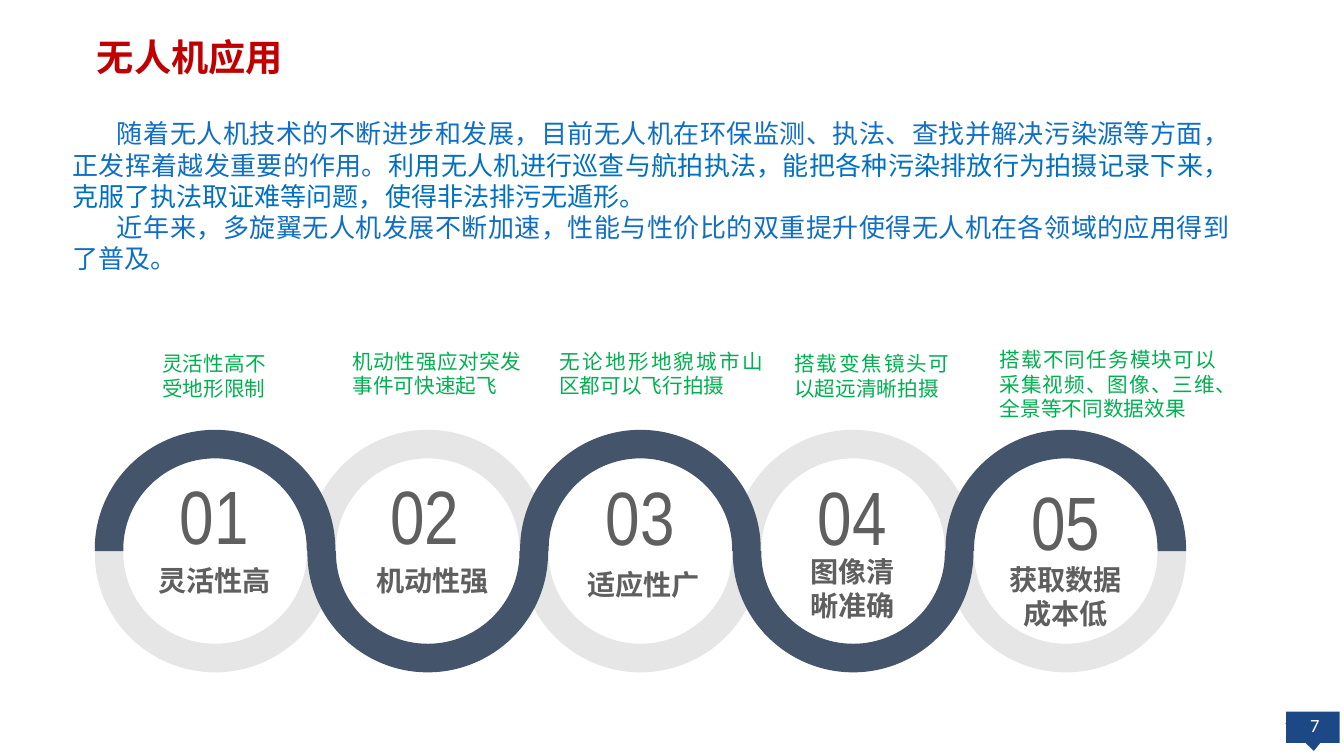
from typing import NamedTuple

from lxml import etree
from pptx import Presentation
from pptx import util as u
from pptx.dml.color import RGBColor
from pptx.enum import shapes, text
from pptx.oxml.ns import qn

# Grid of 40 columns by 30 rows
COLUMN = u.Inches(13.33) / 40
ROW = u.Inches(7.5) / 30

RED = RGBColor(0xC0, 0x00, 0x00)
BLUE = RGBColor(0x0F, 0x6F, 0xC6)
BRIGHT_BLUE = RGBColor(0x00, 0x70, 0xC0)
GREEN = RGBColor(0x00, 0xB0, 0x50)
GRAY = RGBColor(0x5F, 0x5F, 0x5F)
PALE = RGBColor(0xE7, 0xE6, 0xE6)
SLATE = RGBColor(0x44, 0x54, 0x6A)
NAVY = RGBColor(0x1C, 0x48, 0x85)
WHITE = RGBColor(0xFF, 0xFF, 0xFF)

CHINESE_FONT = "Noto Sans CJK SC"

# Chain of rings, in columns except for the row of the middle line
FIRST_CENTER, RING_PITCH, MIDDLE_ROW = 6.4, 6.33, 21.87
OUTER_RADIUS, INNER_RADIUS, FOOT = 3.58, 2.73, 0.06
ROUNDNESS = 0.55  # handle length of a quarter circle, as a share of its radius
CURVE_STARTS = (1, 4, 10, 13)  # segments that open a quarter circle


class Box(NamedTuple):
    """An area: left and width in columns, top and height in rows."""
    left: float
    top: float
    width: float
    height: float


class Style(NamedTuple):
    size: float
    font: str
    color: RGBColor
    bold: bool = False
    align: text.PP_ALIGN = text.PP_ALIGN.CENTER


class Advantage(NamedTuple):
    number_box: Box
    caption: str
    caption_box: Box
    note: str
    note_box: Box


TITLE_STYLE = Style(26.6, CHINESE_FONT, RED, True, text.PP_ALIGN.LEFT)
BODY_STYLE = Style(18.6, "Arial", BLUE, align=text.PP_ALIGN.JUSTIFY)
NUMBER_STYLE = Style(54, "Arial Narrow", GRAY)
CAPTION_STYLE = Style(20.1, "Arial", GRAY, True)
NOTE_STYLE = Style(14.7, CHINESE_FONT, GREEN, align=text.PP_ALIGN.JUSTIFY)
PAGE_STYLE = Style(13.3, "Calibri", WHITE)

BODY = [
    [("随着无人机技术的不断进步和发展，目前无人机在环保监测、执法、查找并解决污染源等方面，"
      "正发挥着越发重要的作用。", BLUE),
     ("利用无人机进行巡查与航拍执法，能把各种污染排放行为拍摄记录下来，"
      "克服了执法取证难等问题，使得非法排污无遁形。", BRIGHT_BLUE)],
    [("近年来，多旋翼无人机发展不断加速，性能与性价比的双重提升"
      "使得无人机在各领域的应用得到了普及。", BLUE)],
]

ADVANTAGES = [
    Advantage(Box(4.77, 18.4, 3.21, 4.04),
              "灵活性高", Box(1.86, 22.16, 9.06, 1.76),
              "灵活性高不受地形限制", Box(4.53, 13.72, 3.69, 2.36)),
    Advantage(Box(11.04, 18.4, 3.21, 4.04),
              "机动性强", Box(8.37, 22.16, 9.03, 1.76),
              "机动性强应对突发事件可快速起飞", Box(10.2, 13.64, 5.61, 2.36)),
    Advantage(Box(17.43, 18.44, 3.24, 4.04),
              "适应性广", Box(14.61, 22.32, 9.06, 1.76),
              "无论地形地貌城市山区都可以飞行拍摄", Box(16.35, 13.64, 6.66, 2.36)),
    Advantage(Box(23.76, 18.44, 3.21, 4.04),
              "图像清晰准确", Box(23.55, 21.8, 3.63, 3.12),
              "搭载变焦镜头可以超远清晰拍摄", Box(23.34, 13.72, 5.22, 2.36)),
    Advantage(Box(30.09, 18.64, 3.24, 4.04),
              "获取数据成本低", Box(29.43, 22.12, 4.56, 3.12),
              "搭载不同任务模块可以采集视频、图像、三维、全景等不同数据效果",
              Box(29.46, 13.56, 7.02, 4.04)),
]


def place(box: Box) -> tuple[int, int, int, int]:
    return (round(box.left * COLUMN), round(box.top * ROW),
            round(box.width * COLUMN), round(box.height * ROW))


def move(shape, box: Box) -> None:
    shape.left, shape.top, shape.width, shape.height = place(box)


def format_text(shape, style: Style) -> None:
    frame = shape.text_frame
    frame.word_wrap = True
    frame.auto_size = text.MSO_AUTO_SIZE.SHAPE_TO_FIT_TEXT
    frame.vertical_anchor = text.MSO_ANCHOR.TOP
    for paragraph in frame.paragraphs:
        paragraph.alignment = style.align
        for run in paragraph.runs:
            run.font.size = u.Pt(style.size)
            run.font.name = style.font
            run.font.bold = style.bold
            run.font.color.rgb = style.color
            east_asian = etree.Element(qn("a:ea"), typeface=CHINESE_FONT)
            run.font._element.find(qn("a:latin")).addnext(east_asian)


def add_label(slide, words: str, box: Box, style: Style):
    label = slide.shapes.add_textbox(*place(box))
    label.text_frame.text = words
    format_text(label, style)
    return label


def paint(shape, color: RGBColor) -> None:
    shape.shadow.inherit = False
    shape.fill.solid()
    shape.fill.fore_color.rgb = color
    shape.line.fill.background()


def add_half_ring(slide, index: int, upper: bool, color: RGBColor) -> None:
    center = FIRST_CENTER + index * RING_PITCH
    direction = -1 if upper else 1

    def arc(radius: float) -> list[tuple[int, int]]:
        rise = radius - FOOT / 2
        handle = 1 - ROUNDNESS
        left_half = [(-1, 0), (-1, FOOT), (-1, FOOT + rise * ROUNDNESS),
                     (-ROUNDNESS, FOOT + rise), (0, FOOT + rise)]
        right_half = [(-x, y) for x, y in left_half[-2::-1]]
        return [(round((center + x * radius) * COLUMN),
                 round(MIDDLE_ROW * ROW + direction * y * COLUMN))
                for x, y in left_half + right_half]

    start, *outline = arc(OUTER_RADIUS) + arc(INNER_RADIUS)[::-1]
    builder = slide.shapes.build_freeform(*start)
    builder.add_line_segments(outline, close=True)
    half_ring = builder.convert_to_shape()
    paint(half_ring, color)

    # Merge each handle, handle and end point into one curve
    lines = list(half_ring._element.iter(qn("a:lnTo")))
    for first in CURVE_STARTS:
        curve = etree.Element(qn("a:cubicBezTo"))
        lines[first].addprevious(curve)
        for line in lines[first:first + 3]:
            curve.append(line[0])
            line.getparent().remove(line)


def fill_body(body) -> None:
    frame = body.text_frame
    for index, parts in enumerate(BODY):
        paragraph = frame.paragraphs[0] if index == 0 else frame.add_paragraph()
        properties = paragraph._p.get_or_add_pPr()
        properties.set("marL", "0")
        properties.set("indent", str(u.Inches(0.44)))
        etree.SubElement(properties, qn("a:buNone"))
        paragraph.space_before = u.Pt(0)
        for words, _ in parts:
            paragraph.add_run().text = words
    format_text(body, BODY_STYLE)
    for paragraph, parts in zip(frame.paragraphs, BODY):
        for run, (_, color) in zip(paragraph.runs, parts):
            run.font.color.rgb = color


def add_page_badge(slide) -> None:
    flag = slide.shapes.add_shape(shapes.MSO_SHAPE.RECTANGLE,
                                  *place(Box(38.28, 28.24, 1.59, 1.24)))
    pointer = slide.shapes.add_shape(shapes.MSO_SHAPE.ISOSCELES_TRIANGLE,
                                     *place(Box(38.28, 28.64, 1.59, 1.16)))
    pointer.rotation = 176.8
    for part in (flag, pointer):
        paint(part, NAVY)
    frame = add_label(slide, "7", Box(38.4, 27.88, 1.47, 2.04), PAGE_STYLE).text_frame
    frame.auto_size = text.MSO_AUTO_SIZE.NONE
    frame.vertical_anchor = text.MSO_ANCHOR.MIDDLE
    frame.margin_left = frame.margin_top = frame.margin_right = 0
    frame.margin_bottom = u.Inches(0.07)


presentation = Presentation()
presentation.slide_width, presentation.slide_height = round(40 * COLUMN), round(30 * ROW)
slide = presentation.slides.add_slide(presentation.slide_layouts[1])
add_page_badge(slide)

# Title and introduction
title, body = slide.placeholders
move(title, Box(2.58, 1.16, 9.15, 2.2))
title.text_frame.text = "无人机应用"
format_text(title, TITLE_STYLE)
move(body, Box(1.86, 4.48, 35.07, 6.68))
fill_body(body)

# Pale halves lie behind the dark wave
for color, first_is_upper in ((PALE, False), (SLATE, True)):
    for index in range(len(ADVANTAGES)):
        add_half_ring(slide, index, (index % 2 == 0) == first_is_upper, color)

# Numbers, captions and notes
for number, advantage in enumerate(ADVANTAGES, start=1):
    add_label(slide, f"{number:02}", advantage.number_box, NUMBER_STYLE)
    add_label(slide, advantage.caption, advantage.caption_box, CAPTION_STYLE)
    add_label(slide, advantage.note, advantage.note_box, NOTE_STYLE)

presentation.save("out.pptx")
